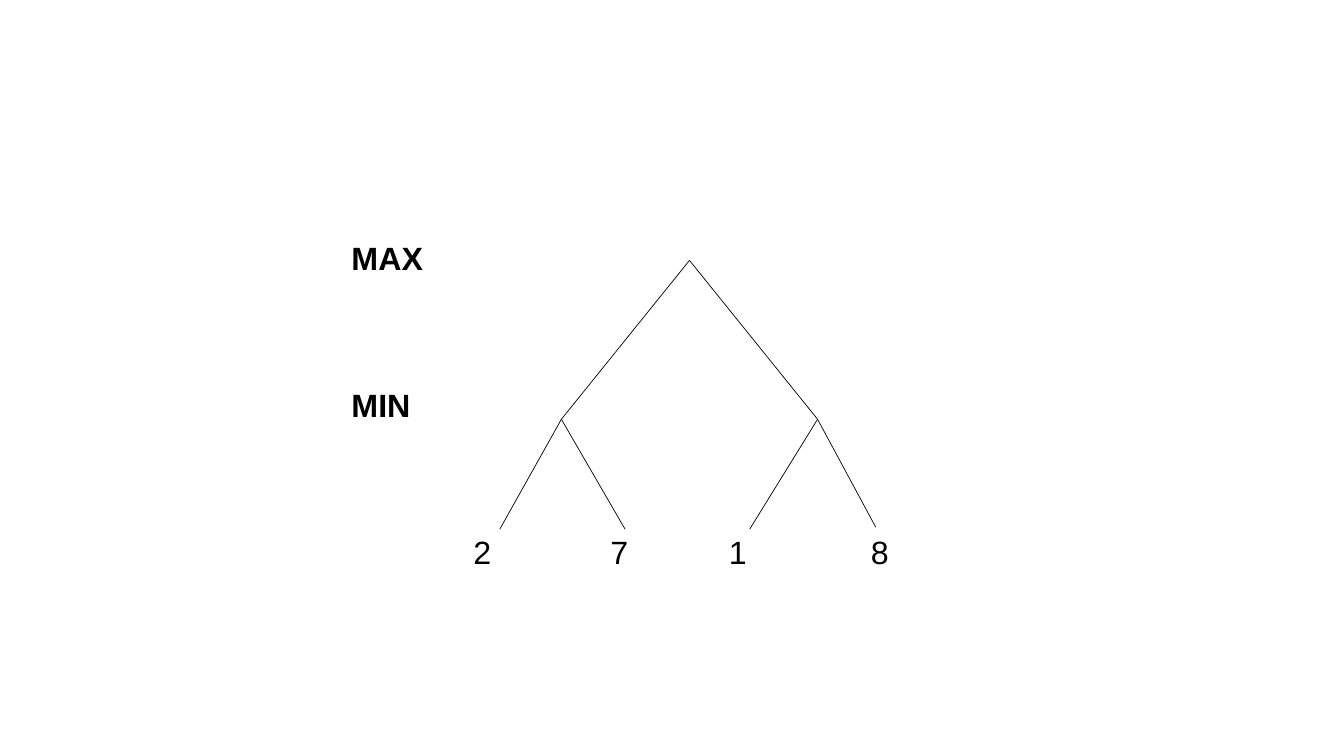
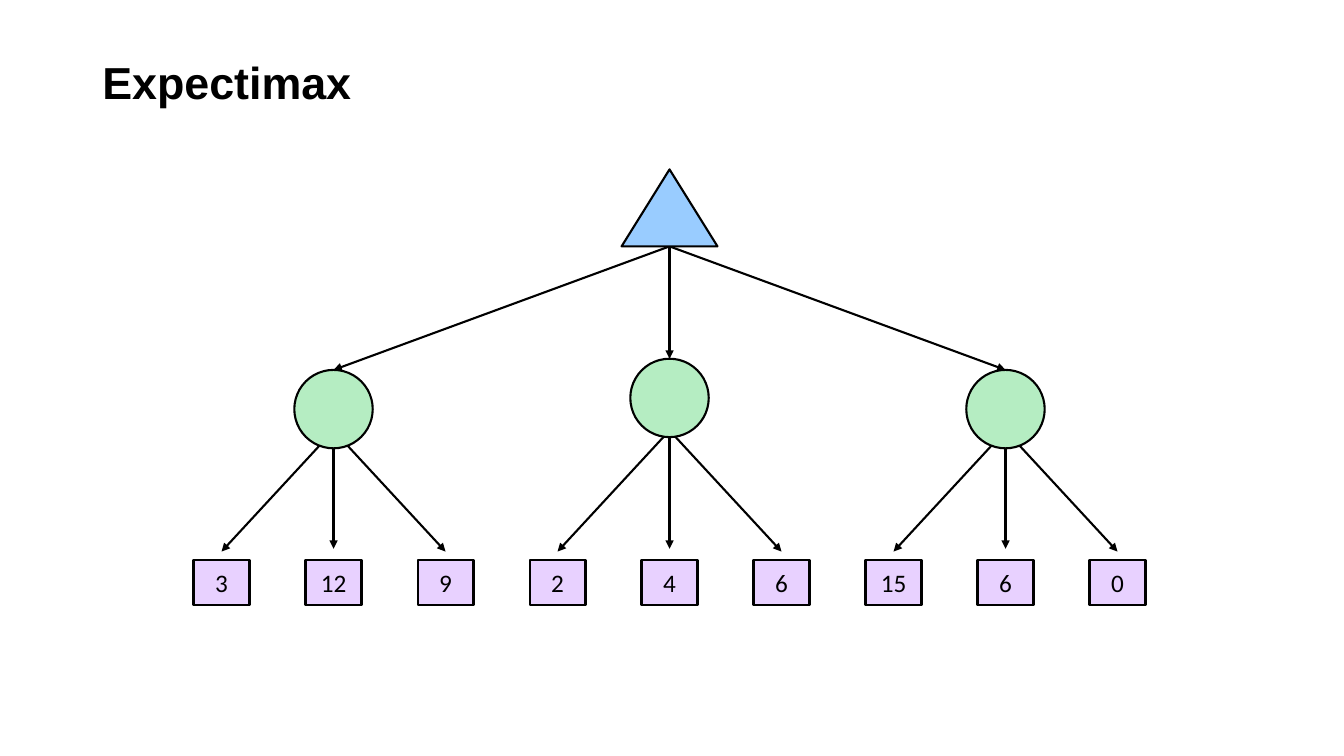
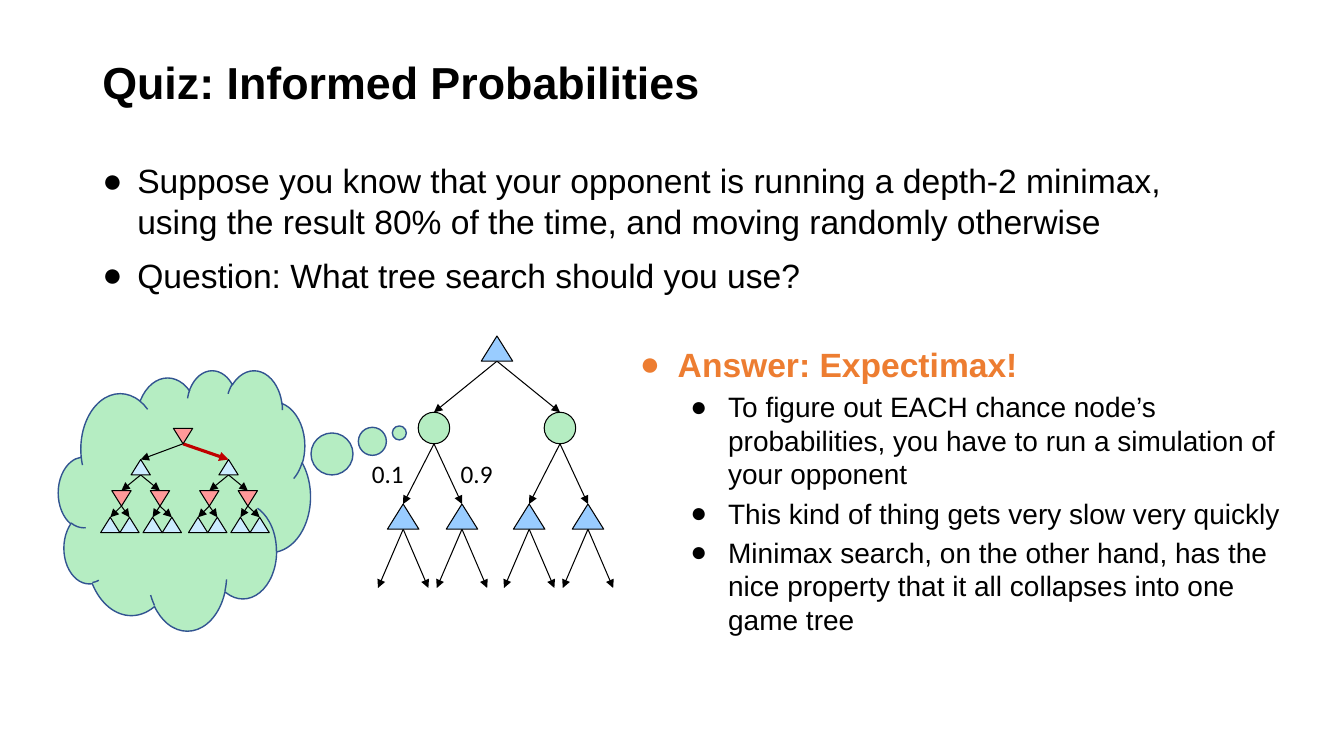
from lxml import etree
from pptx import Presentation
from pptx.dml.color import RGBColor
from pptx.enum.shapes import MSO_CONNECTOR, MSO_SHAPE
from pptx.enum.text import MSO_ANCHOR, PP_ALIGN
from pptx.oxml.ns import qn
from pptx.util import Pt

LINE = MSO_CONNECTOR.STRAIGHT
TRI, OVAL, RECT = MSO_SHAPE.ISOSCELES_TRIANGLE, MSO_SHAPE.OVAL, MSO_SHAPE.RECTANGLE
CLOUD = MSO_SHAPE.CLOUD_CALLOUT
MIDDLE, TOP, CENTER = MSO_ANCHOR.MIDDLE, MSO_ANCHOR.TOP, PP_ALIGN.CENTER

HUES = {"black": "000000", "blue": "99CCFF", "green": "B5EDC2", "lilac": "E8D1FF",
        "pale": "CCECFF", "pink": "FF9999", "navy": "325491", "red": "C00000",
        "orange": "ED7D31"}

LABELS = [("MAX", 244, 167), ("MIN", 244, 272)]
PLIES = [("2", 331), ("7", 429), ("1", 513.5), ("8", 615)]
PLAIN = [
    {"spots": [(492.5, 186)]},
    {"spots": [(401, 299.5), (584, 299.5)]},
    {"spots": [(357, 378), (446.5, 378), (535.5, 378), (625.5, 376.5)]},
]

SCORES = ["3", "12", "9", "2", "4", "6", "15", "6", "0"]
MID, STEP = 478.25, 80
COLS = [MID + STEP * (i - 4) for i in range(len(SCORES))]
CHANCE = [
    {"kind": TRI, "size": (68.5, 55), "fill": "blue", "spots": [(MID, 121)]},
    {"kind": OVAL, "size": (56, 56), "fill": "green", "out": 307.5,
     "spots": list(zip(COLS[1::3], (264.25, 256.25, 264.25)))},
    {"spots": [(x, 392 if i % 3 == 1 else 394) for i, x in enumerate(COLS)]},
]

FACTS = [
    ("Suppose you know that your opponent is running a depth-2 minimax, using the "
     "result 80% of the time, and moving randomly otherwise"),
    "Question: What tree search should you use?",
]
ANSWER = "Answer: Expectimax!"
NOTES = [
    ("To figure out EACH chance node’s probabilities, you have to run a simulation "
     "of your opponent"),
    "This kind of thing gets very slow very quickly",
    ("Minimax search, on the other hand, has the nice property that it all collapses "
     "into one game tree"),
]
ODDS = [("0.1", 258.5), ("0.9", 322)]

JOINTS = [288, 330, 378, 420]
GAME = [
    {"kind": TRI, "size": (22.5, 18), "fill": "blue", "spots": [(355, 240)]},
    {"kind": OVAL, "size": (22.5, 22.5), "fill": "green",
     "spots": [(310, 294.5), (400, 294.5)]},
    {"kind": TRI, "size": (22.5, 18), "fill": "blue", "spots": [(x, 360) for x in JOINTS]},
    {"spots": [(x + d, 420) for x in JOINTS for d in (-18, 18)]},
]

SMALL = (13.75, 11)
PAIR = [100.5, 163.25]
QUAD = [x + d for x in PAIR for d in (-13.75, 13.75)]
EIGHT = [x + d for i, x in enumerate(QUAD) for d in ((-8, 5.75), (-5.25, 8.5))[i % 2]]
MINI = [
    {"kind": TRI, "size": SMALL, "fill": fill, "turn": turn, "spots": [(x, y) for x in xs]}
    for fill, turn, xs, y in [("pink", 180, [130.75], 306), ("pale", 0, PAIR, 328.25),
                              ("pink", 180, QUAD, 350.5), ("pale", 0, EIGHT, 369.5)]
]


def color(name):
    return RGBColor.from_string(HUES[name])


def style(para, size, face="Arial", bold=False, hue="black"):
    font = para.font
    font.size, font.name, font.bold = Pt(size), face, bold
    font.color.rgb = color(hue)


def text_box(slide, left, top, width, height, anchor=TOP):
    frame = slide.shapes.add_textbox(Pt(left), Pt(top), Pt(width), Pt(height)).text_frame
    frame.word_wrap, frame.vertical_anchor = True, anchor
    return frame


def label(slide, words, left, top, width, height, size, **look):
    para = text_box(slide, left, top, width, height).paragraphs[0]
    para.text = words
    style(para, size, **look)


def title(slide, words):
    para = text_box(slide, 66, 29, 828, 64, MIDDLE).paragraphs[0]
    para.text, para.line_spacing = words, 0.9
    style(para, 32, bold=True)


def bullet(frame, words, size, left, hang, before, level=0, bold=False, hue="black"):
    first = not frame.paragraphs[0].runs
    para = frame.paragraphs[0] if first else frame.add_paragraph()
    para.text, para.level = words, level
    if not first:
        para.space_before = Pt(before)
    props = para._p.get_or_add_pPr()
    props.set("marL", str(Pt(left)))
    props.set("indent", str(-Pt(hang)))
    tint = etree.SubElement(props, qn("a:buClr"))
    etree.SubElement(tint, qn("a:srgbClr"), val=HUES[hue])
    etree.SubElement(props, qn("a:buFont"), typeface="Arial")
    etree.SubElement(props, qn("a:buChar"), char="●")
    style(para, size, bold=bold, hue=hue)


def node(slide, kind, left, top, size, fill, weight, edge="black"):
    shape = slide.shapes.add_shape(kind, Pt(left), Pt(top), Pt(size[0]), Pt(size[1]))
    shape.shadow.inherit = False
    shape.fill.solid()
    shape.fill.fore_color.rgb = color(fill)
    shape.line.color.rgb = color(edge)
    shape.line.width = Pt(weight)
    return shape


def link(slide, start, end, weight, head, hue="black"):
    line = slide.shapes.add_connector(LINE, *[Pt(v) for v in (*start, *end)])
    line.line.color.rgb = color(hue)
    line.line.width = Pt(weight)
    props = line._element.spPr
    if head:
        etree.SubElement(props.find(qn("a:ln")), qn("a:tailEnd"), type="triangle")
    etree.SubElement(props, qn("a:effectLst"))


def tree(slide, rows, weight, head=True, hot=None):
    for above, below in zip(rows, rows[1:]):
        fan = len(below["spots"]) // len(above["spots"])
        for i, end in enumerate(below["spots"]):
            x, y = above["spots"][i // fan]
            start = x, above.get("out", y + above.get("size", (0, 0))[1])
            if end == hot:
                link(slide, start, end, 2.25, head, "red")
            else:
                link(slide, start, end, weight, head)
    for row in rows:
        if "kind" in row:
            size = row["size"]
            for x, y in row["spots"]:
                shape = node(slide, row["kind"], x - size[0] / 2, y, size, row["fill"], weight)
                shape.rotation = row.get("turn", 0)


def minimax(slide):
    tree(slide, PLAIN, 0.5, head=False)
    for words, left in PLIES:
        label(slide, words, left, 376.5, 64, 62, 23)
    for words, left, top in LABELS:
        label(slide, words, left, top, 94, 53, 23, bold=True)


def expectimax(slide):
    title(slide, "Expectimax")
    tree(slide, CHANCE, 1.5)
    for score, x in zip(SCORES, COLS):
        box = node(slide, RECT, x - 20, 400, (40, 32), "lilac", 1.5)
        frame = box.text_frame
        frame.word_wrap, frame.vertical_anchor = False, MIDDLE
        para = frame.paragraphs[0]
        para.text, para.alignment = score, CENTER
        style(para, 18, "Calibri")


def quiz(slide):
    title(slide, "Quiz: Informed Probabilities")
    body = text_box(slide, 66, 111, 828, 375)
    for fact in FACTS:
        bullet(body, fact, 24, 25, 25, 10)
    cloud = node(slide, CLOUD, 41.75, 264.25, (180, 186), "green", 1, "navy")
    cloud.adjustments[0], cloud.adjustments[1] = 0.853, -0.258
    tree(slide, MINI, 0.75, hot=MINI[1]["spots"][1])
    for words, left in ODDS:
        label(slide, words, left, 324, 50, 29, 18, face="Calibri")
    reply = text_box(slide, 450, 242, 492, 254)
    bullet(reply, ANSWER, 24, 27, 27, 0, bold=True, hue="orange")
    for note in NOTES:
        bullet(reply, note, 20, 63, 27, 4, level=1)
    tree(slide, GAME, 0.75)


def main():
    deck = Presentation()
    deck.slide_width, deck.slide_height = Pt(960), Pt(540)
    for build in (minimax, expectimax, quiz):
        build(deck.slides.add_slide(deck.slide_layouts[6]))
    deck.save("out.pptx")


if __name__ == "__main__":
    main()
